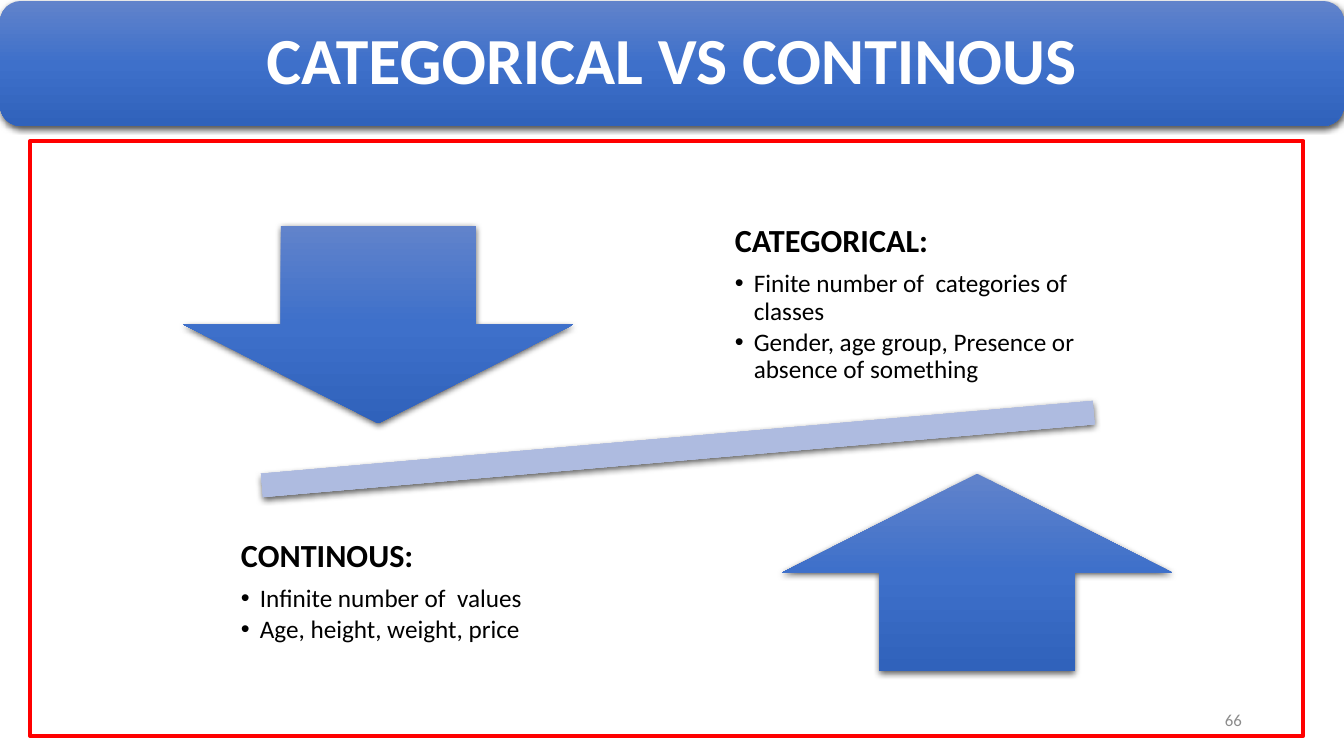
from copy import deepcopy

from pptx import Presentation
from pptx.dml.color import RGBColor
from pptx.enum.shapes import MSO_SHAPE
from pptx.enum.text import MSO_ANCHOR, MSO_AUTO_SIZE, PP_ALIGN
from pptx.oxml import parse_xml
from pptx.oxml.ns import nsdecls, qn
from pptx.util import Pt

WHITE = RGBColor(0xFF, 0xFF, 0xFF)
BLACK = RGBColor(0x00, 0x00, 0x00)
GRAY = RGBColor(0x8C, 0x8C, 0x8C)
RED = RGBColor(0xFF, 0x00, 0x00)
BLUES = (RGBColor(0x61, 0x83, 0xCB), RGBColor(0x3E, 0x70, 0xCA),
         RGBColor(0x30, 0x62, 0xBB))
PALES = (RGBColor(0xBB, 0xC5, 0xE3), RGBColor(0xAE, 0xBB, 0xE0),
         RGBColor(0x98, 0xA4, 0xCB))


class Board:
    face = "Calibri"
    indent = Pt(13.5)

    def __init__(self, slide):
        self.slide = slide

    def block(self, kind, box, tones, turn=0):
        shape = self.slide.shapes.add_shape(kind, *map(Pt, box))
        shape.rotation = turn
        shape.line.fill.background()
        fill = shape.fill
        fill.gradient()
        fill.gradient_angle = 270
        stops = shape.element.spPr.find(qn("a:gradFill")).find(qn("a:gsLst"))
        stops.append(deepcopy(stops[-1]))
        for stop, tone, place in zip(fill.gradient_stops, tones, (0, 0.5, 1)):
            stop.color.rgb = tone
            stop.position = place
        shape.shadow.inherit = False
        shape.element.spPr.find(qn("a:effectLst")).append(parse_xml(
            f'<a:outerShdw {nsdecls("a")} blurRad="{Pt(4.5)}" dist="{Pt(1.5)}" '
            'dir="5400000" algn="ctr" rotWithShape="0"><a:srgbClr val="000000">'
            '<a:alpha val="63000"/></a:srgbClr></a:outerShdw>'))

    def frame(self, box, color, width):
        shape = self.slide.shapes.add_shape(MSO_SHAPE.RECTANGLE, *map(Pt, box))
        shape.fill.background()
        shape.line.color.rgb = color
        shape.line.width = Pt(width)
        shape.shadow.inherit = False

    def place(self, shape, box, inset):
        shape.left, shape.top, shape.width, shape.height = map(Pt, box)
        shape.element.getparent().append(shape.element)
        text = shape.text_frame
        text.word_wrap = True
        text.auto_size = MSO_AUTO_SIZE.NONE
        text.vertical_anchor = MSO_ANCHOR.MIDDLE
        text.margin_left = text.margin_right = Pt(inset)
        text.margin_top = text.margin_bottom = Pt(inset)
        return text

    def style(self, para, size, color, bold=False, align=PP_ALIGN.LEFT, after=0):
        para.alignment = align
        para.line_spacing = 0.9
        para.space_before = Pt(0)
        para.space_after = Pt(after)
        font = para.font
        font.name, font.size, font.bold = self.face, Pt(size), bold
        font.color.rgb = color

    def title(self, words, box):
        text = self.place(self.slide.shapes.title, box, 14.4)
        text.text = words
        self.style(text.paragraphs[0], 47, WHITE, True, PP_ALIGN.CENTER)

    def list(self, spot, box, head, items):
        text = self.place(self.slide.placeholders[spot], box, 13)
        text.text = "\n".join([head, *items])
        for rank, para in enumerate(text.paragraphs):
            props = para._p.get_or_add_pPr()
            if rank:
                para.level = 1
                props.set("marL", str(self.indent))
                props.set("indent", str(-self.indent))
                props.append(parse_xml(f'<a:buChar {nsdecls("a")} char="•"/>'))
                self.style(para, 18, BLACK, after=2.7)
            else:
                props.set("marL", "0")
                props.set("indent", "0")
                props.append(parse_xml(f'<a:buNone {nsdecls("a")}/>'))
                self.style(para, 23, BLACK, True, after=8)

    def label(self, words, box):
        shape = self.slide.shapes.add_textbox(*map(Pt, box))
        text = self.place(shape, box, 7.2)
        text.text = words
        self.style(text.paragraphs[0], 12, GRAY, align=PP_ALIGN.RIGHT)


def main():
    deck = Presentation()
    deck.slide_width, deck.slide_height = Pt(960), Pt(540)
    board = Board(deck.slides.add_slide(deck.slide_layouts[3]))

    board.block(MSO_SHAPE.ROUNDED_RECTANGLE, (0, 0.7, 960, 89.3), BLUES)
    board.title("CATEGORICAL VS CONTINOUS", (4.3, 5, 951.1, 80))

    board.block(MSO_SHAPE.MATH_MINUS, (78.5, 285.1, 811.4, 71.3), PALES, 355)
    arrow = (278.6, 141.1)
    board.block(MSO_SHAPE.DOWN_ARROW, (131, 161.3, *arrow), BLUES)
    board.block(MSO_SHAPE.UP_ARROW, (558.7, 338.4, *arrow), BLUES)

    area = (297.4, 148.3)
    board.list(1, (511.9, 143.3, *area), "CATEGORICAL:", [
        "Finite number of  categories of classes",
        "Gender, age group, Presence or absence of something"])
    board.list(2, (159.1, 348.5, *area), "CONTINOUS:", [
        "Infinite number of  values",
        "Age, height, weight, price"])

    board.label("66", (678.2, 500.4, 216, 28.8))
    board.frame((21.6, 100.8, 909.4, 424.8), RED, 3)
    deck.save("out.pptx")


if __name__ == "__main__":
    main()
